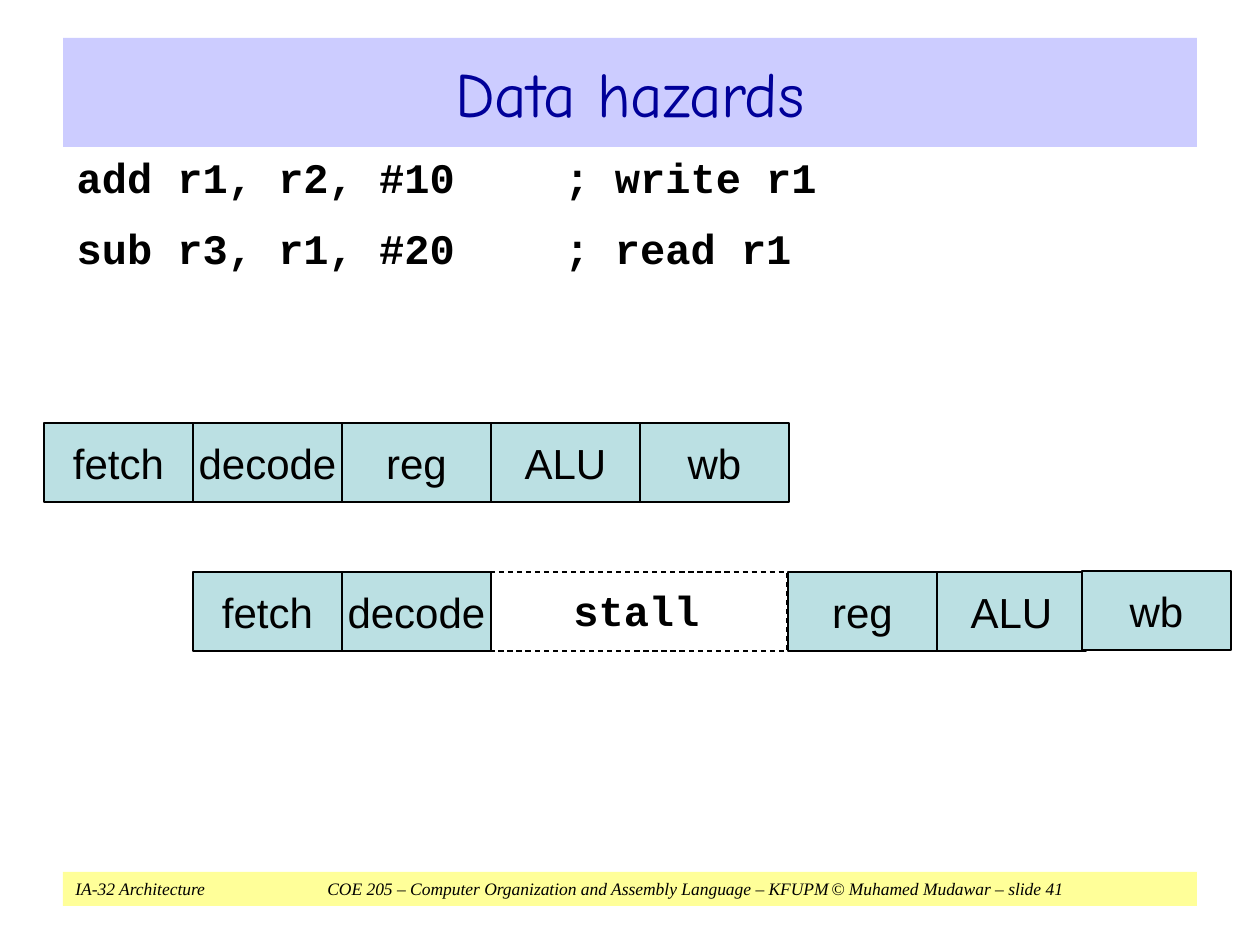
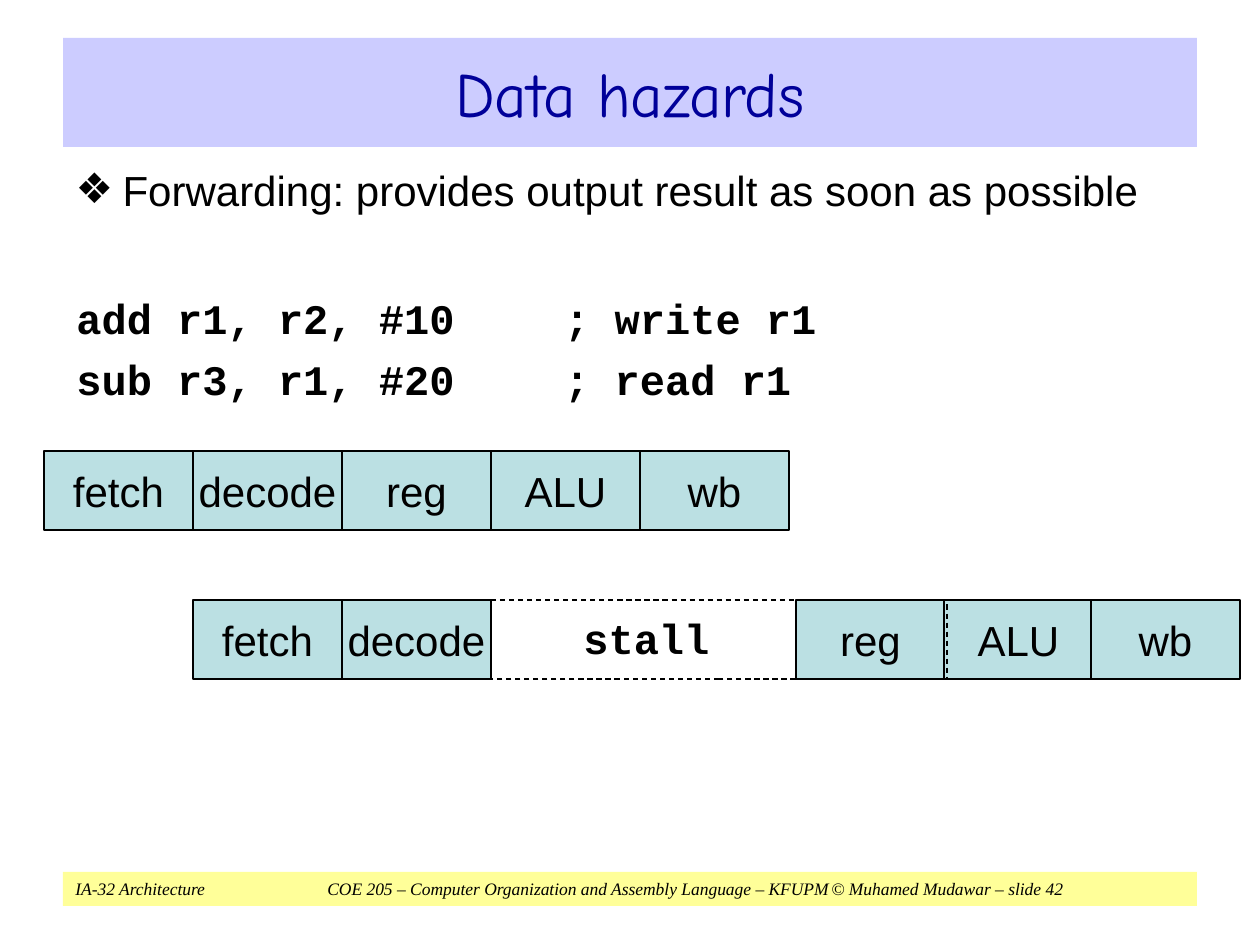
from lxml.etree import SubElement
from pptx import Presentation
from pptx.dml.color import RGBColor as Rgb
from pptx.enum.dml import MSO_LINE as Dash
from pptx.enum.shapes import MSO_SHAPE as Kind
from pptx.enum.text import MSO_ANCHOR as Anchor, MSO_AUTO_SIZE as Fit, PP_ALIGN as Align
from pptx.oxml.ns import qn
from pptx.util import Pt

INCH = 126  # px
SCALE = 914400 / INCH
BLACK, NAVY = "000000", "000099"
LILAC, YELLOW, TEAL = "CCCCFF", "FFFF99", "BBE0E3"
SANS, HAND, MONO, SERIF = "Arial", "Comic Neue", "Courier New", "Times New Roman"
CELL_W, CELL_H = 149, 79
HANG = 47
CODE = ["add r1, r2, #10\t\t; write r1", "sub r3, r1, #20\t\t; read r1"]
STAGES = ["fetch", "decode", "reg", "ALU", "wb"]
FOOTER = ("IA-32 Architecture\tCOE 205 – Computer Organization and Assembly "
          "Language – KFUPM\t© Muhamed Mudawar – slide {}")


def px(num):
    return round(num * SCALE)


def color(code):
    return Rgb.from_string(code)


def fill(shape, code):
    shape.fill.solid()
    shape.fill.fore_color.rgb = color(code)


def place(shape, left, top, width, height):
    shape.left, shape.top = px(left), px(top)
    shape.width, shape.height = px(width), px(height)


def style(para, size, face, code=BLACK, bold=False, italic=False):
    for run in para.runs:
        font = run.font
        font.size, font.name = Pt(size), face
        font.bold, font.italic = bold, italic
        font.color.rgb = color(code)


def tabs(para, *stops):
    """Add left tab stops, given in px."""
    group = SubElement(para._p.get_or_add_pPr(), qn("a:tabLst"))
    for stop in stops:
        SubElement(group, qn("a:tab"), pos=str(px(stop)), algn="l")


def hang(para, mark=None):
    """Give a hanging indent, with a bullet if a mark is given."""
    props = para._p.get_or_add_pPr()
    props.set("marL", str(px(HANG)))
    props.set("indent", str(px(-HANG)))
    if mark:
        SubElement(props, qn("a:buFont"), typeface=SANS)
        SubElement(props, qn("a:buChar"), char=mark)
    else:
        SubElement(props, qn("a:buNone"))


def add_box(slide, left, top, width, height):
    box = slide.shapes.add_shape(Kind.RECTANGLE, 0, 0, 0, 0)
    place(box, left, top, width, height)
    box.shadow.inherit = False
    return box


def add_title(slide, text):
    title = slide.shapes.title
    place(title, 63, 38, 1134, 109)
    fill(title, LILAC)
    frame = title.text_frame
    frame.text = text
    frame.auto_size, frame.vertical_anchor = Fit.NONE, Anchor.MIDDLE
    para = frame.paragraphs[0]
    para.alignment = Align.CENTER
    style(para, 36, HAND, NAVY)


def add_footer(slide, num):
    band = add_box(slide, 63, 872, 1134, 34)
    fill(band, YELLOW)
    band.line.fill.background()
    frame = band.text_frame
    frame.text = FOOTER.format(num)
    frame.vertical_anchor = Anchor.TOP
    para = frame.paragraphs[0]
    para.alignment = Align.LEFT
    tabs(para, 2 * INCH, 6 * INCH)
    style(para, 10, SERIF, italic=True)


def add_code(frame, gap):
    frame.text = "\n".join(CODE)
    frame.word_wrap, frame.auto_size = True, Fit.NONE
    for row, para in enumerate(frame.paragraphs):
        hang(para)
        tabs(para, 3 * INCH, 4 * INCH)
        para.space_before = Pt(gap if row else 0)
        style(para, 24, MONO, bold=True)


def add_point(frame, text):
    frame.text = text
    frame.auto_size = Fit.NONE
    para = frame.paragraphs[0]
    hang(para, "❖")
    para.space_before = Pt(0)
    style(para, 24, SANS)


def add_stage(slide, name, left, top):
    cell = add_box(slide, left, top, CELL_W, CELL_H)
    fill(cell, TEAL)
    cell.line.color.rgb, cell.line.width = color(BLACK), Pt(0.75)
    frame = cell.text_frame
    frame.text = name
    frame.word_wrap, frame.vertical_anchor = False, Anchor.MIDDLE
    para = frame.paragraphs[0]
    para.alignment = Align.CENTER
    style(para, 24, SANS)


def add_run(slide, names, left, top, step=CELL_W):
    for col, name in enumerate(names):
        add_stage(slide, name, left + col * step, top)


def add_stall(slide, left, top, width, label):
    gap = add_box(slide, left, top, width, CELL_H)
    gap.fill.background()
    gap.line.color.rgb, gap.line.width = color(BLACK), Pt(0.75)
    gap.line.dash_style = Dash.DASH
    note = slide.shapes.add_textbox(px(label), px(top + 6), px(151), px(63))
    frame = note.text_frame
    frame.text = "stall"
    frame.word_wrap = False
    style(frame.paragraphs[0], 24, MONO, bold=True)


def add_pipes(slide, top, resume, step, width, label, last):
    """Draw both instructions; the second resumes after its stall."""
    left, below = 44, top + 149
    add_run(slide, STAGES, left, top)
    add_run(slide, STAGES[:2], left + CELL_W, below)
    add_run(slide, STAGES[2:4], resume, below, step)
    add_stall(slide, left + 3 * CELL_W, below, width, label)
    add_stage(slide, STAGES[4], *last)


def add_slide(deck, num):
    slide = deck.slides.add_slide(deck.slide_layouts[1])
    add_footer(slide, num)
    add_title(slide, "Data hazards")
    return slide, slide.placeholders[1]


def main():
    deck = Presentation()
    deck.slide_width, deck.slide_height = px(1260), px(945)

    slide, body = add_slide(deck, 41)
    place(body, 64, 145, 1134, 159)
    add_code(body.text_frame, 12)
    add_pipes(slide, 423, 788, 149, 296, 561, (1082, 571))

    slide, body = add_slide(deck, 42)
    place(body, 63, 158, 1134, 709)
    add_point(body.text_frame, "Forwarding: provides output result as soon as possible")
    add_pipes(slide, 451, 796, 148, 456, 571, (1091, 600))
    code = slide.shapes.add_textbox(px(64), px(286), px(1134), px(159))
    add_code(code.text_frame, 6)

    deck.save("out.pptx")


if __name__ == "__main__":
    main()
